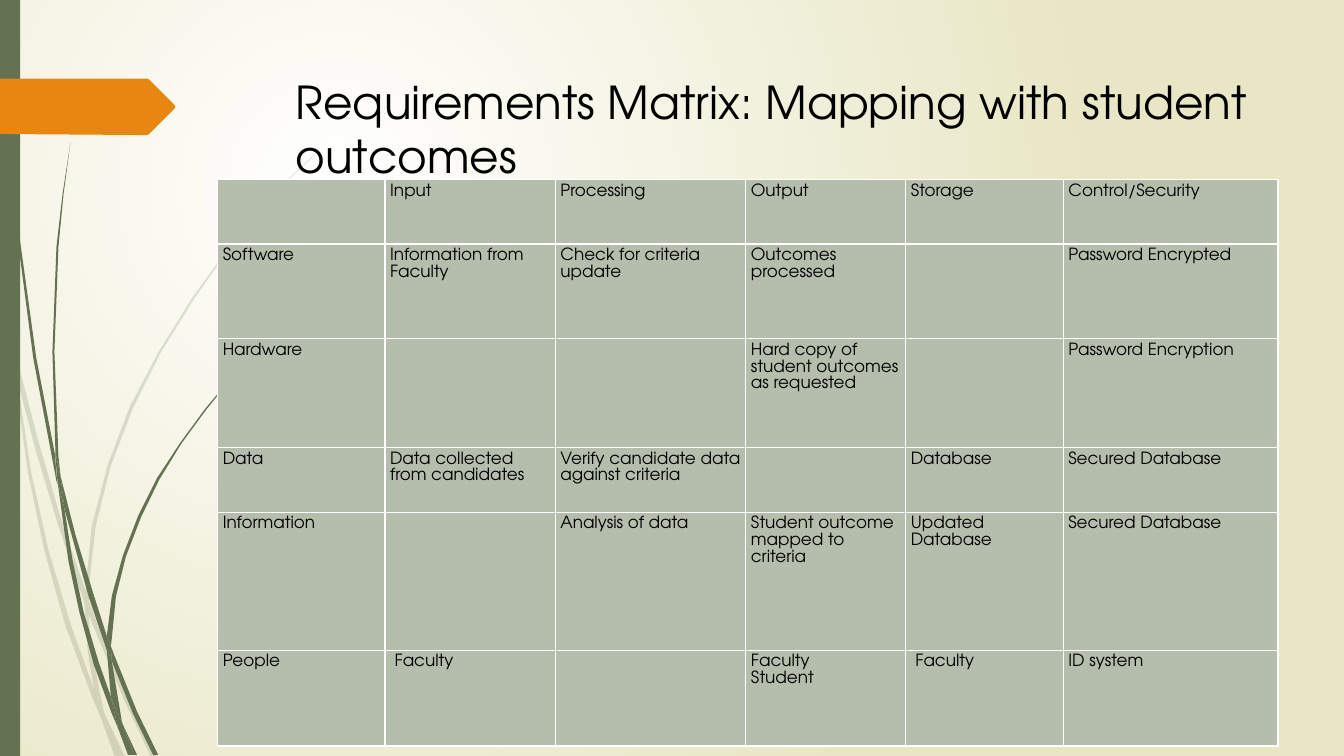
from dataclasses import dataclass

import pptx
import pptx.dml.color
import pptx.enum.shapes
import pptx.enum.text
import pptx.oxml
import pptx.oxml.ns
import pptx.util
from pptx.util import Pt


@dataclass(frozen=True)
class Theme:
    font: str = "TeX Gyre Adventor"
    text: str = "000000"
    green: str = "647252"
    orange: str = "E78712"
    cell: str = "B5BEAD"
    border: str = "FFFFFF"
    glow: str = "FFFFFF"
    backdrop: str = "E8E6C4"
    title_size: float = 32.4
    cell_size: float = 12
    cell_spacing: float = 1.07


@dataclass(frozen=True)
class Outline:
    points: tuple[tuple[int, int], ...]
    color: str
    opacity: int = 100


THEME = Theme()
OUTLINE_UNIT = Pt(0.72)

PALE_BLADES = (
    ((11, 350), (9, 322), (0, 282), (0, 299), (10, 344)),
    ((58, 522), (84, 599), (85, 586), (62, 520), (37, 434), (14, 345), (17, 376), (36, 449)),
    ((92, 607), (88, 596), (88, 610), (123, 694), (150, 751), (155, 751), (127, 692)),
    ((119, 751), (124, 751), (105, 711)),
    ((93, 683), (70, 619), (48, 545), (31, 469), (17, 376), (11, 350), (28, 470), (44, 546),
     (65, 621), (92, 693), (101, 714), (99, 707)),
    ((84, 599), (87, 646), (93, 683), (96, 692), (105, 711), (103, 706), (91, 646), (88, 610),
     (88, 608)),
    ((88, 584), (95, 522), (110, 462), (132, 405), (160, 349), (193, 296), (229, 245), (268, 198),
     (290, 175), (312, 154), (312, 153), (289, 175), (268, 197), (228, 244), (191, 295), (158, 348),
     (129, 403), (107, 461), (91, 522), (85, 584), (85, 586), (88, 596)),
    ((101, 714), (114, 751), (119, 751)),
    ((88, 608), (88, 610), (88, 596), (85, 586), (84, 599)),
    ((96, 692), (93, 683), (99, 707), (101, 714), (119, 751), (105, 711)),
)
DARK_BLADES = (
    ((7, 110), (17, 233), (33, 355), (56, 477), (57, 481), (55, 457), (55, 453), (36, 355),
     (19, 232), (8, 109), (5, 48), (4, 0), (3, 0), (4, 48)),
    ((88, 592), (106, 645), (106, 633), (106, 631), (93, 590), (75, 531), (60, 472), (64, 505)),
    ((113, 649), (110, 641), (111, 656), (132, 708), (152, 749), (157, 749), (136, 706)),
    ((110, 691), (98, 657), (83, 607), (72, 556), (64, 505), (57, 477), (68, 557), (79, 608),
     (93, 659), (111, 708), (117, 722), (116, 717)),
    ((60, 472), (58, 453), (54, 349), (58, 245), (63, 193), (70, 141), (62, 193), (56, 245),
     (52, 349), (55, 449)),
    ((133, 749), (136, 749), (122, 719)),
    ((57, 477), (64, 505), (60, 472), (55, 449), (55, 453)),
    ((111, 633), (115, 592), (125, 552), (140, 513), (158, 476), (180, 440), (205, 406), (231, 374),
     (245, 359), (261, 344), (260, 344), (245, 358), (231, 373), (204, 405), (179, 439), (156, 474),
     (137, 512), (122, 551), (111, 591), (106, 631), (110, 641)),
    ((117, 722), (127, 749), (131, 749)),
    ((106, 645), (110, 691), (116, 706), (122, 719), (121, 716), (111, 656), (109, 651)),
    ((106, 645), (109, 651), (111, 656), (110, 641), (106, 631), (106, 633)),
    ((116, 706), (110, 691), (116, 717), (117, 722), (130, 749), (133, 749), (122, 719)),
)
ARROW_TAG = Outline(
    ((173, 108), (148, 133), (146, 134), (136, 134), (0, 133), (0, 78), (146, 78), (148, 79),
     (173, 104), (174, 106)),
    THEME.orange,
)

COLUMN_WIDTHS = (119.5, 121.7, 136.1, 114.2, 112.6, 153.4)
ROW_HEIGHTS = (46.1, 67.7, 77.8, 46.1, 98.6, 68.4)
MATRIX = (
    ("", "Input", "Processing", "Output", "Storage", "Control/Security"),
    ("Software", "Information from Faculty", "Check for criteria update", "Outcomes processed", "",
     "Password Encrypted"),
    ("Hardware", "", "", "Hard copy of student outcomes as requested", "", "Password Encryption"),
    ("Data", "Data collected from candidates", "Verify candidate data against criteria", "",
     "Database", "Secured Database"),
    ("Information", "", "Analysis of data", "Student outcome mapped to criteria",
     "Updated Database", "Secured Database"),
    ("People", "\u00a0Faculty", "", "Faculty\nStudent", "\u00a0Faculty", "ID system"),
)


def rgb(color: str) -> pptx.dml.color.RGBColor:
    return pptx.dml.color.RGBColor.from_string(color)


def parse_drawing(tag: str, attributes: str, content: str):
    namespace = pptx.oxml.ns.nsdecls("a")
    return pptx.oxml.parse_xml(f"<a:{tag} {namespace} {attributes}>{content}</a:{tag}>")


def paint(shape, color: str, opacity: int = 100) -> None:
    shape.shadow.inherit = False
    shape.fill.solid()
    shape.fill.fore_color.rgb = rgb(color)
    shape.line.fill.background()
    if opacity < 100:
        color_element = shape.element.spPr.find(".//" + pptx.oxml.ns.qn("a:srgbClr"))
        color_element.append(parse_drawing("alpha", f'val="{opacity * 1000}"', ""))


def draw_outline(shapes, outline: Outline) -> None:
    start, *rest = outline.points
    builder = shapes.build_freeform(*start, scale=OUTLINE_UNIT)
    builder.add_line_segments(rest, close=True)
    paint(builder.convert_to_shape(), outline.color, outline.opacity)


def draw_background(slide) -> None:
    fill = slide.background.fill
    fill.gradient()
    for stop, color in zip(fill.gradient_stops, (THEME.glow, THEME.backdrop)):
        stop.color.rgb = rgb(color)
    linear = slide.element.find(".//" + pptx.oxml.ns.qn("a:lin"))
    focus = '<a:fillToRect l="50000" t="50000" r="100000" b="100000"/>'
    linear.getparent().replace(linear, parse_drawing("path", 'path="circle"', focus))


def draw_decoration(slide) -> None:
    for blades, opacity in ((PALE_BLADES, 20), (DARK_BLADES, 100)):
        grass = slide.shapes.add_group_shape()
        for blade in blades:
            draw_outline(grass.shapes, Outline(blade, THEME.green, opacity))
    side_bar = slide.shapes.add_shape(
        pptx.enum.shapes.MSO_SHAPE.RECTANGLE, Pt(0), Pt(0), Pt(14.4), Pt(540)
    )
    paint(side_bar, THEME.green)
    draw_outline(slide.shapes, ARROW_TAG)


def format_paragraph(paragraph, size: float) -> None:
    paragraph.alignment = pptx.enum.text.PP_ALIGN.LEFT
    paragraph.font.name = THEME.font
    paragraph.font.size = Pt(size)
    paragraph.font.color.rgb = rgb(THEME.text)


def place_title(slide) -> None:
    title = slide.shapes.title
    title.left, title.top, title.width, title.height = Pt(204), Pt(49), Pt(702), Pt(100.8)
    frame = title.text_frame
    frame.text = "Requirements Matrix: Mapping with student outcomes"
    frame.word_wrap = True
    frame.auto_size = pptx.enum.text.MSO_AUTO_SIZE.NONE
    frame.vertical_anchor = pptx.enum.text.MSO_ANCHOR.TOP
    format_paragraph(frame.paragraphs[0], THEME.title_size)
    slide.shapes.element.append(title.element)


def fill_cell(cell, text: str) -> None:
    properties = cell._tc.get_or_add_tcPr()
    line = f'<a:solidFill><a:srgbClr val="{THEME.border}"/></a:solidFill>'
    for side in ("lnL", "lnR", "lnT", "lnB"):
        properties.append(parse_drawing(side, f'w="{Pt(1)}"', line))
    cell.fill.solid()
    cell.fill.fore_color.rgb = rgb(THEME.cell)
    cell.margin_left = cell.margin_right = Pt(3.6)
    cell.margin_top = cell.margin_bottom = Pt(2.16)
    cell.text = text
    for paragraph in cell.text_frame.paragraphs:
        format_paragraph(paragraph, THEME.cell_size)
        paragraph.line_spacing = THEME.cell_spacing


def draw_matrix(slide) -> None:
    table = slide.shapes.add_table(
        len(ROW_HEIGHTS), len(COLUMN_WIDTHS), Pt(155.5), Pt(128.2),
        Pt(sum(COLUMN_WIDTHS)), Pt(sum(ROW_HEIGHTS)),
    ).table
    table.first_row = table.horz_banding = False
    for column, width in zip(table.columns, COLUMN_WIDTHS):
        column.width = Pt(width)
    for row, height, texts in zip(table.rows, ROW_HEIGHTS, MATRIX):
        row.height = Pt(height)
        for cell, text in zip(row.cells, texts):
            fill_cell(cell, text)


presentation = pptx.Presentation()
presentation.slide_width, presentation.slide_height = Pt(960), Pt(540)
slide = presentation.slides.add_slide(presentation.slide_layouts.get_by_name("Title Only"))
draw_background(slide)
draw_decoration(slide)
place_title(slide)
draw_matrix(slide)
presentation.save("out.pptx")
